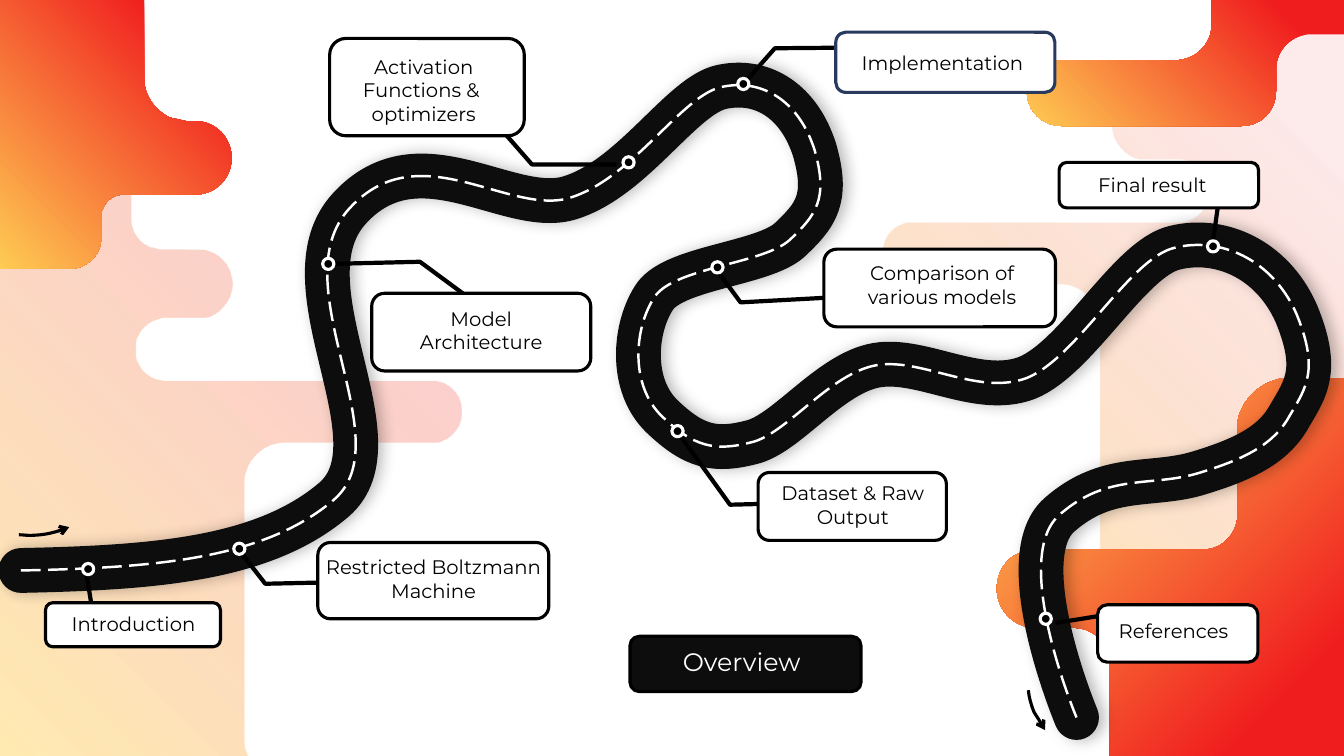
from lxml import etree
from pptx import Presentation
from pptx.dml.color import RGBColor
from pptx.enum.dml import MSO_LINE
from pptx.enum.shapes import MSO_CONNECTOR, MSO_SHAPE
from pptx.enum.text import MSO_ANCHOR, PP_ALIGN
from pptx.oxml.ns import qn
from pptx.util import Pt

RED = RGBColor(0xF0, 0x1D, 0x1E)
GOLD = RGBColor(0xFE, 0xCB, 0x53)
AMBER = RGBColor(0xFF, 0xC0, 0x00)
ROAD = RGBColor(0x0D, 0x0D, 0x0D)
BLACK = RGBColor(0, 0, 0)
WHITE = RGBColor(0xFF, 0xFF, 0xFF)
NAVY = RGBColor(0x28, 0x3A, 0x5E)
FONT = "Montserrat"
ROUND, OVAL = MSO_SHAPE.ROUNDED_RECTANGLE, MSO_SHAPE.OVAL
DASH, LINE = MSO_LINE.LONG_DASH, MSO_CONNECTOR.STRAIGHT
MID, TOP = PP_ALIGN.CENTER, MSO_ANCHOR.TOP

deck = Presentation()
deck.slide_width, deck.slide_height = Pt(960), Pt(540)
slide = deck.slides.add_slide(deck.slide_layouts[5])
shapes = slide.shapes


def trace(steps, close=False):
    """Draw an outline; a step of two numbers is a line, of six a Bezier curve."""
    ends = [(Pt(step[-2]), Pt(step[-1])) for step in steps]
    pen = shapes.build_freeform(*ends[0], scale=1.0)
    pen.add_line_segments(ends[1:], close=close)
    shape = pen.convert_to_shape()
    shape.shadow.inherit = False
    if not close:
        shape.fill.background()
    for node, step in zip(list(shape.element.iter(qn("a:lnTo"))), steps[1:]):
        if len(step) == 6:
            curve = etree.Element(qn("a:cubicBezTo"))
            for x, y in zip(step[::2], step[1::2]):
                etree.SubElement(curve, qn("a:pt"), x=str(Pt(x) - shape.left),
                                 y=str(Pt(y) - shape.top))
            node.getparent().replace(node, curve)
    return shape


def style(shape, color, width, fill=None):
    """Set the line, and the fill where one is given."""
    shape.line.color.rgb = color
    shape.line.width = Pt(width)
    if fill is not None:
        shape.shadow.inherit = False
        shape.fill.solid()
        shape.fill.fore_color.rgb = fill
    return shape


# Backdrop waves: the pale one on the left mirrors the one on the right
pale = [(960, 5), (866, 5), (866, 44), (866, 52.5, 860.5, 60, 853, 63), (846, 65),
        (814, 65.5), (802.5, 67.5, 794, 77.5, 794, 90),
        (794, 100, 800.5, 108.5, 809.5, 113), (814, 114), (841, 114),
        (852, 114, 861, 122, 863, 132), (863, 141), (861, 151, 852, 159, 841, 159),
        (649, 159), (638, 160.5, 630.5, 170, 630.5, 181),
        (630.5, 191.5, 638, 201, 648.5, 203), (756.5, 203),
        (772.5, 203, 785.5, 216, 785.5, 232), (785.5, 414),
        (785.5, 418, 785, 422, 783.5, 425.5), (782.5, 427), (960, 427)]
twin = [tuple(v + 113 if k % 2 else 960 - v for k, v in enumerate(step)) for step in pale]
upper = [(0, 0), (103, 0), (103, 56), (103, 68.5, 111, 79, 121.5, 84),
         (133, 86.5), (139.5, 86.5), (154, 86.5, 165.5, 98, 165.5, 113),
         (165.5, 127.5, 154, 139, 139.5, 139), (88.5, 139),
         (80, 139, 72.5, 145.5, 72.5, 154), (72.5, 169),
         (72.5, 182, 62.5, 192, 49.5, 192), (0, 192)]
lower = [(916.5, 270), (960, 270), (960, 540), (792.5, 540), (792.5, 474),
         (792.5, 460, 781, 448.5, 767.5, 448.5), (740, 448.5),
         (724, 448.5, 712, 435.5, 712, 420.5), (712, 404.5, 724, 392.5, 740, 392.5),
         (859.5, 392.5), (873.5, 392.5, 884, 381, 884, 367), (884, 301), (885.5, 295),
         (890.5, 283, 900.5, 273.5, 914.5, 270.5)]
corner = [(865.5, 0), (960, 0), (960, 24.5), (936.5, 24.5),
          (923, 24.5, 911.5, 35.5, 911.5, 49.5), (911.5, 65),
          (911.5, 79, 901, 90, 887, 90), (758, 90), (744.5, 90, 733.5, 79, 733.5, 65.5),
          (733.5, 55.5, 739.5, 47, 748, 43), (840, 43),
          (854, 43, 865.5, 31.5, 865.5, 17.5)]
waves = [(pale, AMBER, 225, (9, 30)), (twin, AMBER, 225, (21, 30)),
         (upper, GOLD, 225, None), (lower, GOLD, 135, None), (corner, GOLD, 225, None)]
for steps, tint, angle, alphas in waves:
    wave = trace(steps, close=True)
    wave.line.fill.background()
    wave.fill.gradient()
    wave.fill.gradient_angle = angle
    first, last = wave.fill.gradient_stops
    first.color.rgb, first.position = RED, 0.16
    last.color.rgb, last.position = tint, 1.0
    if alphas:
        for node, alpha in zip(list(wave.element.iter(qn("a:srgbClr"))), alphas):
            etree.SubElement(node, qn("a:alpha"), val=str(alpha * 1000))

# Road with its dashed centre line
route = [(15, 407.5), (111, 405.5, 188.5, 399.5, 238.5, 357),
         (288, 314.5, 199.5, 202.5, 250, 148.5), (300, 94.5, 364.5, 155.5, 408, 141),
         (453, 126.5, 487.5, 67.5, 516, 62), (545, 56, 571, 72.5, 582, 107.5),
         (592, 142.5, 582.5, 154, 564, 171.5), (545, 188.5, 483, 191, 468, 211.5),
         (453, 233.5, 449.5, 275, 473, 297.5), (496, 319.5, 511, 322.5, 536.5, 316),
         (561, 310.5, 590.5, 269.5, 623, 261.5), (656, 253.5, 697.5, 283.5, 733.5, 270),
         (769.5, 255.5, 807, 184.5, 839, 177), (871, 169, 908.5, 184.5, 926, 224),
         (942.5, 264, 933, 277, 921.5, 296.5), (911, 316, 892, 327, 857.5, 337.5),
         (823, 348.5, 791.5, 337, 756.5, 368), (721.5, 399.5, 769, 512.5, 769, 512.5)]
road = style(trace(route), ROAD, 32)
edge = road.element.spPr.find(qn("a:ln"))
edge.set("cap", "rnd")
etree.SubElement(edge, qn("a:round"))
glow = etree.SubElement(road.element.spPr.find(qn("a:effectLst")), qn("a:outerShdw"),
                        blurRad=str(Pt(10)), dist=str(Pt(3)), dir="0",
                        algn="l", rotWithShape="0")
shade = etree.SubElement(glow, qn("a:srgbClr"), val=str(BLACK))
etree.SubElement(shade, qn("a:alpha"), val="28000")
style(trace(route), WHITE, 1.75).line.dash_style = DASH

# Leader lines
leads = [[(61, 405), (65, 430)], [(170, 392), (189.5, 417), (235.5, 416)],
         [(330.5, 209.5), (300, 187), (238.5, 188.5)],
         [(358.5, 93), (380, 117.5), (440.5, 117.5)],
         [(530.5, 60.5), (553.5, 34.5), (609, 34)],
         [(511, 191.5), (529, 216), (594, 212.5)],
         [(486.5, 312), (521.5, 360.5), (541.5, 360)],
         [(870.5, 143.5), (866, 175.5)], [(754, 445), (785, 440)]]
for lead in leads:
    if len(lead) == 2:
        (x, y), (p, q) = lead
        wire = shapes.add_connector(LINE, Pt(x), Pt(y), Pt(p), Pt(q))
        etree.SubElement(style(wire, BLACK, 3).element.spPr, qn("a:effectLst"))
    else:
        style(trace(lead), BLACK, 3)

# Stops on the road
for x, y in [(59, 402.5), (167, 388), (230.5, 184.5), (445, 112), (527, 56),
             (508.5, 187), (480, 304), (862.5, 172), (743, 438)]:
    style(shapes.add_shape(OVAL, Pt(x), Pt(y), Pt(8), Pt(8)), WHITE, 2.25, BLACK)

# Labels: text, box, then left, top, width and height of the text
labels = [("Model Architecture", (265.5, 209.5, 156.5, 55.5), (271.5, 215.5, 144.5, 41)),
          ("Introduction", (32.5, 430.5, 125, 31.5), (25, 433.5, 141, 24.5)),
          ("Activation\nFunctions & \noptimizers", (235.5, 27.5, 139, 69.5),
           (234, 35.5, 137.5, 58.5)),
          ("Restricted Boltzmann Machine", (227, 387.5, 165, 54.5), (225.5, 393, 168.5, 41)),
          ("Implementation", (597, 23, 156.5, 43), (601, 32.5, 144.5, 24.5)),
          ("Comparison of various models", (588.5, 178, 165.5, 55.5), (593.5, 183, 159, 41)),
          ("Dataset & Raw Output", (541.5, 337.5, 134.5, 48.5), (537, 340, 144.5, 41)),
          ("Final result", (756.5, 116, 142.5, 32.5), (751, 120, 144.5, 24.5)),
          ("References", (784, 432, 114.5, 41), (771, 438.5, 134.5, 24.5))]
for text, box, area in labels:
    rim = NAVY if text == "Implementation" else BLACK
    style(shapes.add_shape(ROUND, *map(Pt, box)), rim, 2.25, WHITE)
    frame = shapes.add_textbox(*map(Pt, area)).text_frame
    frame.word_wrap = True
    frame.text = text
    for para in frame.paragraphs:
        para.alignment = MID
        para.font.name, para.font.size = FONT, Pt(14)
        para.font.color.rgb = BLACK

# Title on its dark plate
style(shapes.add_shape(ROUND, Pt(450), Pt(454.5), Pt(165), Pt(39.5)), BLACK, 2.25, ROAD)
title = shapes.title
shapes.element.append(title.element)
title.left, title.top, title.width, title.height = Pt(453), Pt(458), Pt(153.5), Pt(29)
title.text_frame.text = "Overview"
title.text_frame.vertical_anchor = TOP
head = title.text_frame.paragraphs[0]
head.alignment = MID
head.font.name, head.font.size = FONT, Pt(18)
head.font.color.rgb = WHITE

# Arrows for the way in and out
for way in ([(13.5, 382), (18.5, 382, 18.5, 383, 29, 382), (34, 381.5, 44.5, 379, 49.5, 376.5)],
            [(734.5, 493), (735, 498, 736.5, 503.5, 738.5, 508.5),
             (741, 512.5, 744, 517, 746.5, 521.5)]):
    arrow = style(trace(way), BLACK, 2.25)
    etree.SubElement(arrow.element.spPr.find(qn("a:ln")), qn("a:tailEnd"), type="arrow")

deck.save("out.pptx")
